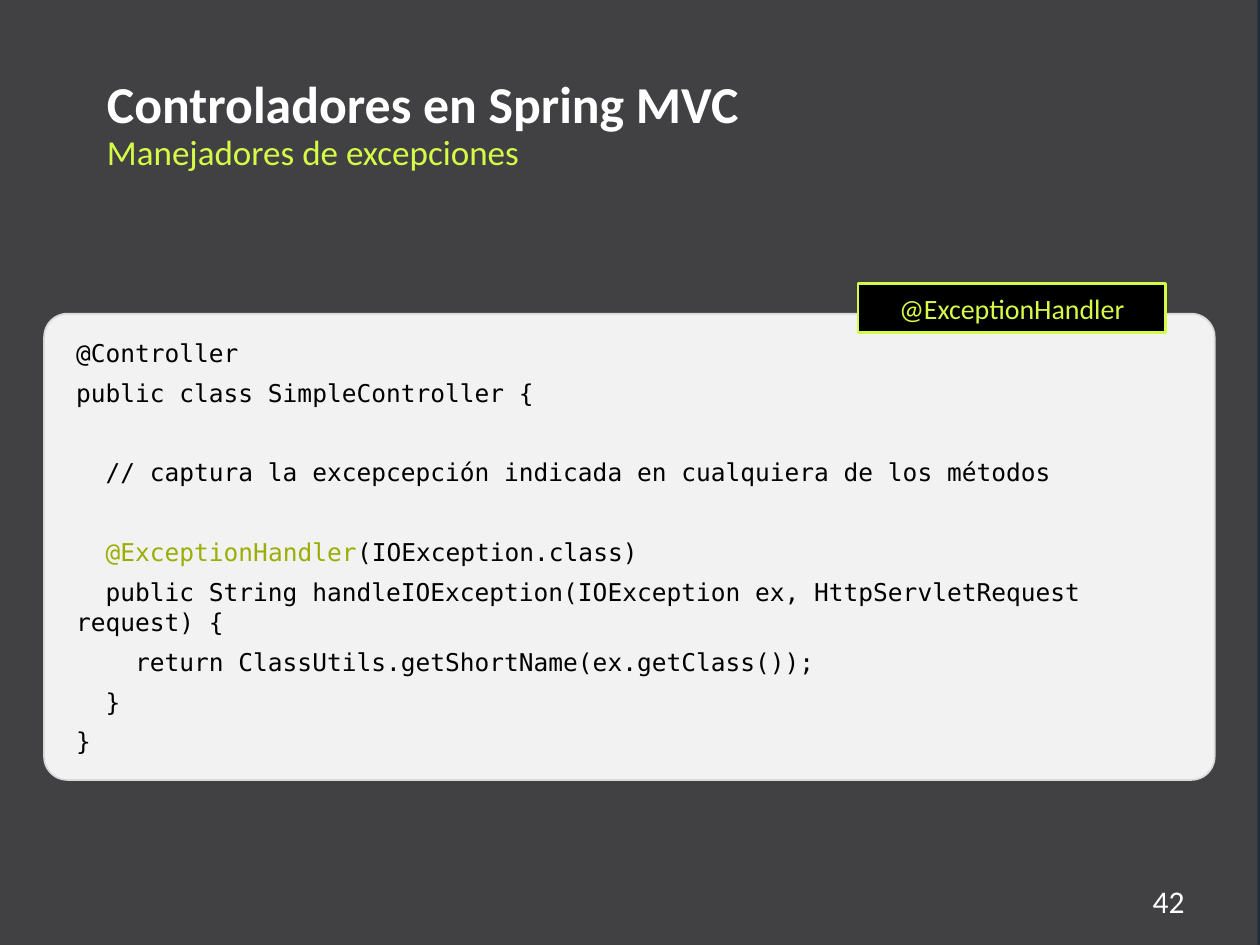
from pptx import Presentation
from pptx.dml.color import RGBColor
from pptx.enum.shapes import MSO_SHAPE as SHAPE
from pptx.enum.text import MSO_ANCHOR as ANCHOR, PP_ALIGN as ALIGN
from pptx.util import Inches, Pt

WHITE, BLACK, LIME, OLIVE = "FFFFFF", "000000", "D6FB47", "9AAE04"
NAVY, CHARCOAL, PANEL, BORDER = "1E2E3E", "414143", "F2F2F2", "D9D9D9"
LINE_GAP, BLOCK_GAP = 6, 28.8
CODE = [
    ([("@Controller", BLACK)], LINE_GAP),
    ([("public class SimpleController {", BLACK)], BLOCK_GAP),
    ([("  // captura la excepcepción indicada en cualquiera de los métodos", BLACK)], BLOCK_GAP),
    ([("  ", BLACK), ("@ExceptionHandler", OLIVE), ("(IOException.class)", BLACK)], LINE_GAP),
    ([("  public String handleIOException(IOException ex, HttpServletRequest request) {", BLACK)], LINE_GAP),
    ([("    return ClassUtils.getShortName(ex.getClass());", BLACK)], LINE_GAP),
    ([("  }", BLACK)], LINE_GAP),
    ([("}", BLACK)], LINE_GAP),
]


def rgb(value):
    return RGBColor.from_string(value)


class SlideBuilder:
    """Holds the fonts and the current slide, and adds each kind of element."""

    font, mono = "Calibri", "DejaVu Sans Mono"

    def __init__(self, s):
        self.s = s

    def background(self, color):
        fill = self.s.background.fill
        fill.solid()
        fill.fore_color.rgb = rgb(color)

    def style(self, p, size, color, bold=False, align=ALIGN.LEFT):
        p.alignment = align
        p.font.name, p.font.size, p.font.bold = self.font, Pt(size), bold
        p.font.color.rgb = rgb(color)

    def text(self, box, text, size, color, **style):
        tf = self.s.shapes.add_textbox(*map(Inches, box)).text_frame
        tf.word_wrap = True
        p = tf.paragraphs[0]
        p.text = text
        self.style(p, size, color, **style)

    def panel(self, box, fill, line=None, width=1, kind=SHAPE.RECTANGLE):
        sp = self.s.shapes.add_shape(kind, *map(Inches, box))
        sp.shadow.inherit = False
        sp.fill.solid()
        sp.fill.fore_color.rgb = rgb(fill)
        if line:
            sp.line.color.rgb = rgb(line)
            sp.line.width = Pt(width)
        else:
            sp.line.fill.background()
        return sp

    def label(self, box, text, size, color, fill):
        sp = self.panel(box, fill, color, 1.5)
        tf = sp.text_frame
        tf.vertical_anchor = ANCHOR.MIDDLE
        p = tf.paragraphs[0]
        p.text = text
        self.style(p, size, color, align=ALIGN.CENTER)

    def code(self, box, lines, size):
        sp = self.panel(box, PANEL, BORDER, kind=SHAPE.ROUNDED_RECTANGLE)
        sp.adjustments[0] = 0.05
        tf = sp.text_frame
        tf.word_wrap = True
        tf.vertical_anchor = ANCHOR.MIDDLE
        tf.margin_left = tf.margin_right = tf.margin_top = tf.margin_bottom = Inches(0.2)
        for i, (runs, gap) in enumerate(lines):
            p = tf.add_paragraph() if i else tf.paragraphs[0]
            p.alignment = ALIGN.LEFT
            p.space_after = Pt(gap)
            p.font.name, p.font.size = self.mono, Pt(size)
            for text, color in runs:
                r = p.add_run()
                r.text = text
                r.font.color.rgb = rgb(color)


def main():
    prs = Presentation()
    prs.slide_width, prs.slide_height = Inches(10), Inches(7.5)
    b = SlideBuilder(prs.slides.add_slide(prs.slide_layouts[6]))
    b.background(NAVY)
    b.panel((0, 0, 9.98, 7.5), CHARCOAL)
    b.text((8.54, 6.95, 0.96, 0.4), "42", 18, WHITE, align=ALIGN.RIGHT)
    b.text((0.75, 0.99, 8.75, 0.47), "Manejadores de excepciones", 20, LIME)
    b.code((0.35, 2.49, 9.29, 3.7), CODE, 14)
    b.label((6.81, 2.25, 2.44, 0.39), "@ExceptionHandler", 16, LIME, BLACK)
    b.text((0.75, 0.52, 6.38, 0.55), "Controladores en Spring MVC", 29.6, WHITE, bold=True)
    prs.save("out.pptx")


if __name__ == "__main__":
    main()
